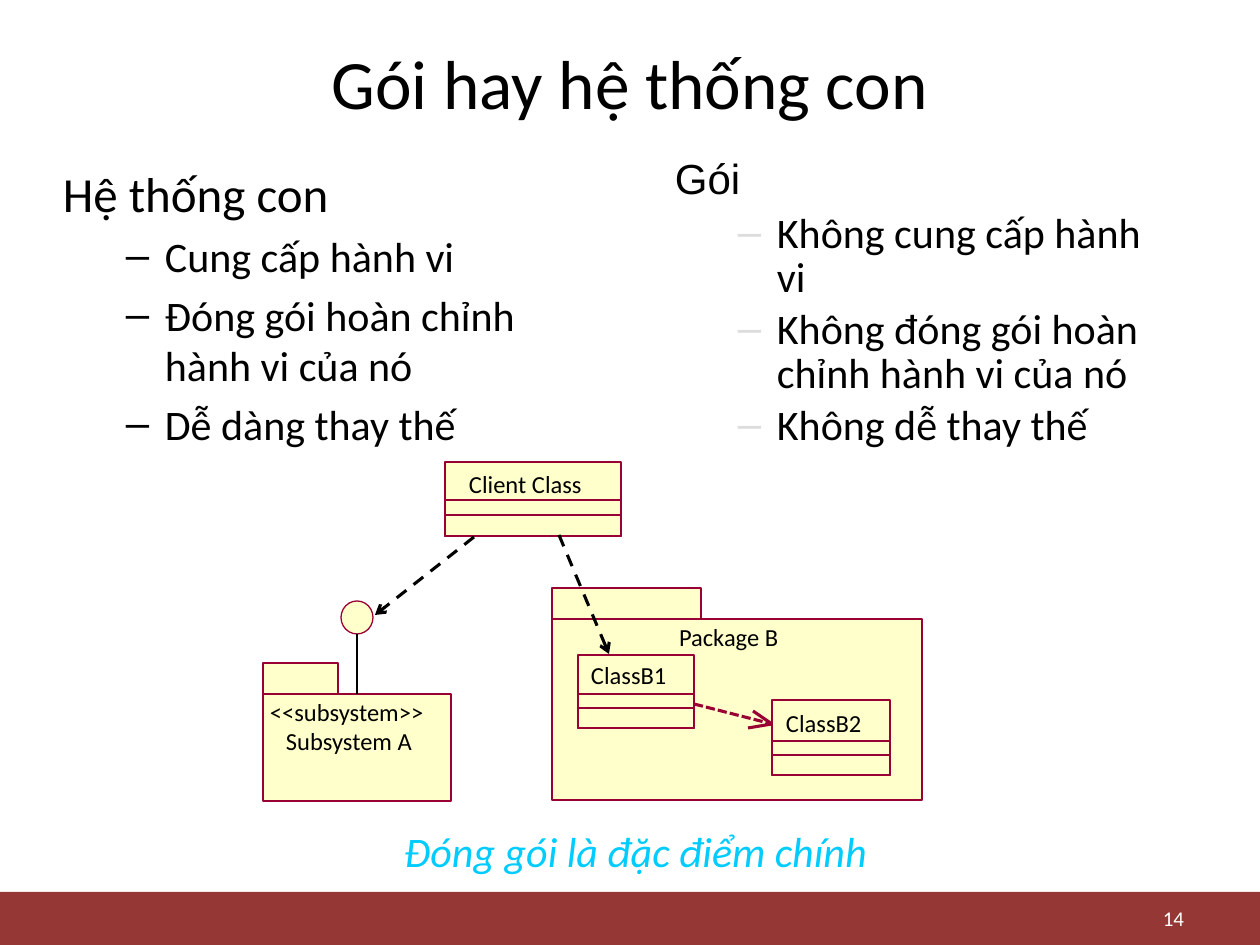
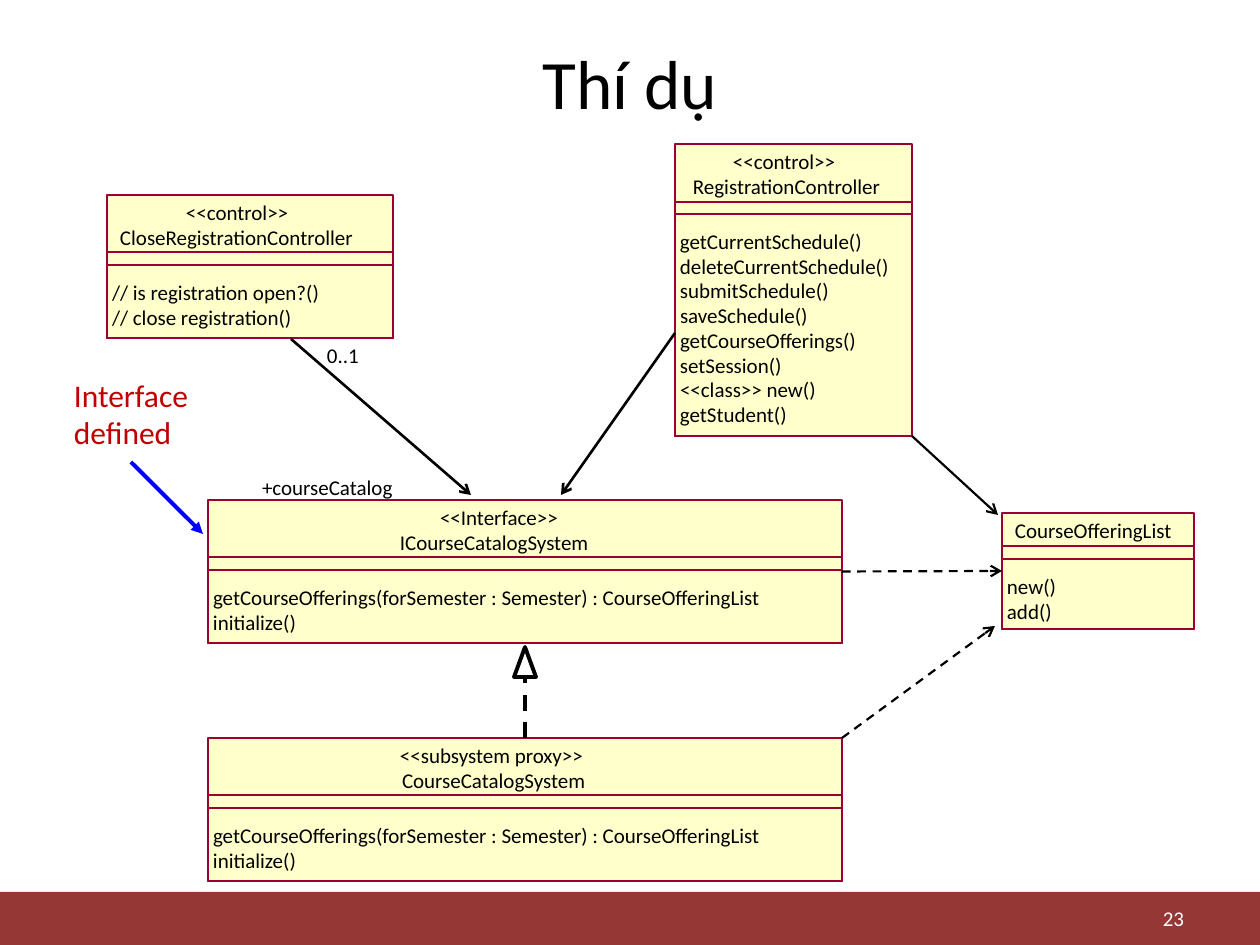
from dataclasses import dataclass
from typing import NamedTuple

from lxml import etree
from pptx import Presentation
from pptx.dml.color import RGBColor
from pptx.enum import dml, shapes, text
from pptx.oxml import ns
from pptx.util import Pt

PX = 914400 / 126
INK = {
    "black": "000000", "white": "FFFFFF", "band": "953735", "cream": "FFFFCC",
    "wine": "990033", "cyan": "00CCFF", "red": "C00000", "blue": "0000FF", "grey": "DDDDDD",
}
DASH = {"dash": dml.MSO_LINE.DASH, "dot": dml.MSO_LINE.SQUARE_DOT}
RECT, OVAL = shapes.MSO_SHAPE.RECTANGLE, shapes.MSO_SHAPE.OVAL
LEFT, MID, RIGHT = text.PP_ALIGN.LEFT, text.PP_ALIGN.CENTER, text.PP_ALIGN.RIGHT


class Box(NamedTuple):
    """Place and size in px."""
    x: int
    y: int
    w: int
    h: int


class Tag(NamedTuple):
    """One line of text with its left edge and width."""
    text: str
    x: int
    w: int


@dataclass
class Node:
    """A class box with two cuts, names and methods."""
    box: Box
    cuts: tuple[int, int]
    names: list[Tag]
    ops: list[tuple[str, int]]
    size: int = 12
    top: int = 5


@dataclass
class Pack:
    """A package with a tab and captions."""
    box: Box
    tab: int
    names: list[Tag]


@dataclass
class Link:
    """A straight line, joined to boxes by (shape, side) if given."""
    a: tuple[int, int]
    b: tuple[int, int]
    width: float = 1.75
    ink: str = "black"
    dash: str = ""
    tip: str = ""
    start: tuple | None = None
    stop: tuple | None = None


@dataclass
class Look:
    """Font and paragraph settings."""
    size: float
    ink: str = "black"
    font: str = "Calibri"
    align: int = LEFT
    slant: bool = False
    before: float = 0
    pitch: float | None = None


def emu(*px: float) -> list[int]:
    """Turn px into EMU."""
    return [round(v * PX) for v in px]


def rgb(ink: str) -> RGBColor:
    """Look up a colour."""
    return RGBColor.from_string(INK[ink])


def style(para, look: Look) -> None:
    """Format a paragraph and its runs."""
    para.alignment = look.align
    para.space_before = Pt(look.before)
    if look.pitch:
        para.line_spacing = look.pitch
    for run in para.runs:
        font = run.font
        font.size, font.name, font.italic = Pt(look.size), look.font, look.slant
        font.color.rgb = rgb(look.ink)


def write(slide, box: Box, words: str, look: Look, pad=(13, 6), wrap=True, anchor=text.MSO_ANCHOR.TOP):
    """Add a text box and return its frame."""
    frame = slide.shapes.add_textbox(*emu(*box)).text_frame
    frame.margin_left, frame.margin_top = emu(*pad)
    frame.margin_right, frame.margin_bottom = emu(*pad)
    frame.word_wrap, frame.vertical_anchor = wrap, anchor
    if not wrap:
        frame.auto_size = text.MSO_AUTO_SIZE.SHAPE_TO_FIT_TEXT
    frame.text = words
    for para in frame.paragraphs:
        style(para, look)
    return frame


def label(slide, tag: Tag, y: int, size: int) -> None:
    """Add a tight one-line label."""
    write(slide, Box(tag.x, y, tag.w, 2 * size + 1), tag.text, Look(size), (0, 0), False)


def shape(slide, box: Box, fill: str = "cream", line: str = "wine", kind=RECT):
    """Add a preset shape; an empty name means none."""
    item = slide.shapes.add_shape(kind, *emu(*box))
    item.shadow.inherit = False
    if fill:
        item.fill.solid()
        item.fill.fore_color.rgb = rgb(fill)
    else:
        item.fill.background()
    if line:
        item.line.color.rgb = rgb(line)
        item.line.width = Pt(0)
    else:
        item.line.fill.background()
    return item


def node(slide, spec: Node):
    """Draw a class box."""
    x, y, w, h = spec.box
    base = shape(slide, spec.box)
    for cut in spec.cuts:
        shape(slide, Box(x, y + cut, w, h - cut), "")
    for row, tag in enumerate(spec.names):
        label(slide, tag, y + spec.top + 25 * row, spec.size)
    for row, (name, wide) in enumerate(spec.ops):
        label(slide, Tag(name, x + 5, wide), y + spec.cuts[1] + 15 + round(24.7 * row), spec.size)
    return base


def pack(slide, spec: Pack):
    """Draw a package."""
    x, y, w, h = spec.box
    base = shape(slide, spec.box)
    shape(slide, Box(x, y - 31, spec.tab, 31))
    for row, tag in enumerate(spec.names):
        label(slide, tag, y + 3 + 29 * row, 14)
    return base


def link(slide, spec: Link) -> None:
    """Draw a line or an arrow."""
    wire = slide.shapes.add_connector(shapes.MSO_CONNECTOR.STRAIGHT, *emu(*spec.a, *spec.b))
    if spec.start:
        wire.begin_connect(*spec.start)
    if spec.stop:
        wire.end_connect(*spec.stop)
    wire.line.color.rgb = rgb(spec.ink)
    wire.line.width = Pt(spec.width)
    if spec.dash:
        wire.line.dash_style = DASH[spec.dash]
    if spec.tip:
        etree.SubElement(wire.line._get_or_add_ln(), ns.qn("a:tailEnd"), type=spec.tip)
    etree.SubElement(wire._element.spPr, ns.qn("a:effectLst"))


def points(slide, box: Box, words: list[str], head: Look, body: Look, ink: str) -> None:
    """Write a heading with dashed points below it."""
    frame = write(slide, box, "\n".join(words), body)
    first, *rest = frame.paragraphs
    style(first, head)
    if head.font == "Arial":
        first.add_run().text = " "
        gap = first.runs[-1].font
        gap.size, gap.name = Pt(32), head.font
    for para in rest:
        para.level = 1
        prop = para._p.get_or_add_pPr()
        left, hang = emu(102, -39)
        prop.set("marL", str(left))
        prop.set("indent", str(hang))
        tint = etree.SubElement(prop, ns.qn("a:buClr"))
        etree.SubElement(tint, ns.qn("a:srgbClr"), val=INK[ink])
        etree.SubElement(prop, ns.qn("a:buFont"), typeface="Arial")
        etree.SubElement(prop, ns.qn("a:buChar"), char="–")


def page(deck, title: str, num: int):
    """Add a slide with band, title and number."""
    slide = deck.slides.add_slide(deck.slide_layouts[6])
    mid = text.MSO_ANCHOR.MIDDLE
    shape(slide, Box(0, 892, 1260, 53), "band", "")
    write(slide, Box(63, 38, 1134, 88), title, Look(39.6, align=MID), anchor=mid)
    write(slide, Box(903, 901, 294, 34), str(num), Look(12, "white", align=RIGHT), anchor=mid)
    return slide


def compare(deck) -> None:
    """Build the slide on packages and subsystems."""
    slide = page(deck, "Gói hay hệ thống con", 14)
    points(slide, Box(50, 157, 529, 495),
           ["Hệ thống con", "Cung cấp hành vi", "Đóng gói hoàn chỉnh hành vi của nó", "Dễ dàng thay thế"],
           Look(28, before=5.6), Look(24, before=4.8), "black")
    points(slide, Box(662, 145, 529, 495),
           ["Gói", "Không cung cấp hành vi", "Không đóng gói hoàn chỉnh hành vi của nó", "Không dễ thay thế"],
           Look(24, font="Arial", before=7.2, pitch=0.8), Look(24, before=4.8, pitch=0.87), "grey")
    write(slide, Box(389, 820, 493, 63), "Đóng gói là đặc điểm chính",
          Look(24, "cyan", align=MID, slant=True, before=12), wrap=False)
    shape(slide, Box(341, 601, 32, 33), kind=OVAL)
    sub = pack(slide, Pack(Box(263, 694, 188, 107), 75,
                           [Tag("<<subsystem>>", 270, 174), Tag("Subsystem A", 286, 144)]))
    pack(slide, Pack(Box(552, 619, 370, 181), 149, [Tag("Package B", 679, 118)]))
    for spec in (
        Node(Box(445, 462, 176, 74), (38, 53), [Tag("Client Class", 469, 131)], [], 14, 7),
        Node(Box(578, 655, 116, 73), (39, 53), [Tag("ClassB1", 591, 91)], [], 14),
        Node(Box(772, 700, 118, 75), (41, 55), [Tag("ClassB2", 786, 91)], [], 14, 8),
    ):
        node(slide, spec)
    for spec in (
        Link((357, 634), (357, 694), 1.25, stop=(sub, 0)),
        Link((694, 704), (772, 724), ink="wine", dash="dot"),
        Link((772, 724), (753, 711), ink="wine"),
        Link((772, 724), (748, 728), ink="wine"),
        Link((474, 537), (375, 615), dash="dash", tip="arrow"),
        Link((559, 535), (609, 654), dash="dash", tip="arrow"),
    ):
        link(slide, spec)


def sample(deck) -> None:
    """Build the slide with the class diagram."""
    slide = page(deck, "Thí dụ", 23)
    calls = [("getCourseOfferings(forSemester : Semester) : CourseOfferingList", 610), ("initialize()", 88)]
    face, proxy, _, reg, offer = [node(slide, spec) for spec in (
        Node(Box(208, 500, 634, 143), (57, 70),
             [Tag("<<Interface>>", 440, 131), Tag("ICourseCatalogSystem", 400, 215)], calls),
        Node(Box(208, 738, 634, 143), (57, 70),
             [Tag("<<subsystem proxy>>", 400, 207), Tag("CourseCatalogSystem", 402, 209)], calls),
        Node(Box(107, 195, 286, 143), (57, 70),
             [Tag("<<control>>", 186, 126), Tag("CloseRegistrationController", 120, 256)],
             [("// is registration open?()", 243), ("// close registration()", 210)]),
        Node(Box(675, 144, 237, 292), (58, 70),
             [Tag("<<control>>", 733, 126), Tag("RegistrationController", 693, 202)],
             [("getCurrentSchedule()", 200), ("deleteCurrentSchedule()", 228), ("submitSchedule()", 163),
              ("saveSchedule()", 145), ("getCourseOfferings()", 195), ("setSession()", 116),
              ("<<class>> new()", 169), ("getStudent()", 115)]),
        Node(Box(1002, 513, 192, 116), (33, 46), [Tag("CourseOfferingList", 1015, 175)],
             [("new()", 52), ("add()", 49)]),
    )]
    label(slide, Tag("0..1", 327, 35), 343, 12)
    label(slide, Tag("+courseCatalog", 262, 147), 475, 12)
    note = write(slide, Box(59, 368, 159, 94), "Interface\ndefined", Look(18, "red", before=9), (15, 8))
    note.paragraphs[1].line_spacing = 0.5
    for spec in (
        Link((525, 738), (525, 677), 2.25, dash="dash", start=(proxy, 0)),
        Link((842, 738), (995, 626), 1.25, dash="dash", tip="arrow"),
        Link((675, 333), (561, 495), 1.5, tip="arrow"),
        Link((912, 436), (998, 515), 1.25, tip="arrow"),
        Link((131, 462), (203, 534), 2.25, "blue", tip="triangle"),
        Link((291, 339), (471, 495), 1.5, tip="arrow"),
        Link((842, 572), (1002, 571), 1.25, dash="dash", tip="arrow", start=(face, 3), stop=(offer, 1)),
    ):
        link(slide, spec)
    path = slide.shapes.build_freeform(525, 647, scale=PX)
    path.add_line_segments([(536, 677), (514, 677)], close=True)
    tip = path.convert_to_shape()
    tip.shadow.inherit = False
    tip.fill.background()
    tip.line.color.rgb = rgb("black")
    tip.line.width = Pt(2.25)


def main() -> None:
    """Build and save the deck."""
    deck = Presentation()
    deck.slide_width, deck.slide_height = emu(1260, 945)
    compare(deck)
    sample(deck)
    deck.save("out.pptx")


if __name__ == "__main__":
    main()
